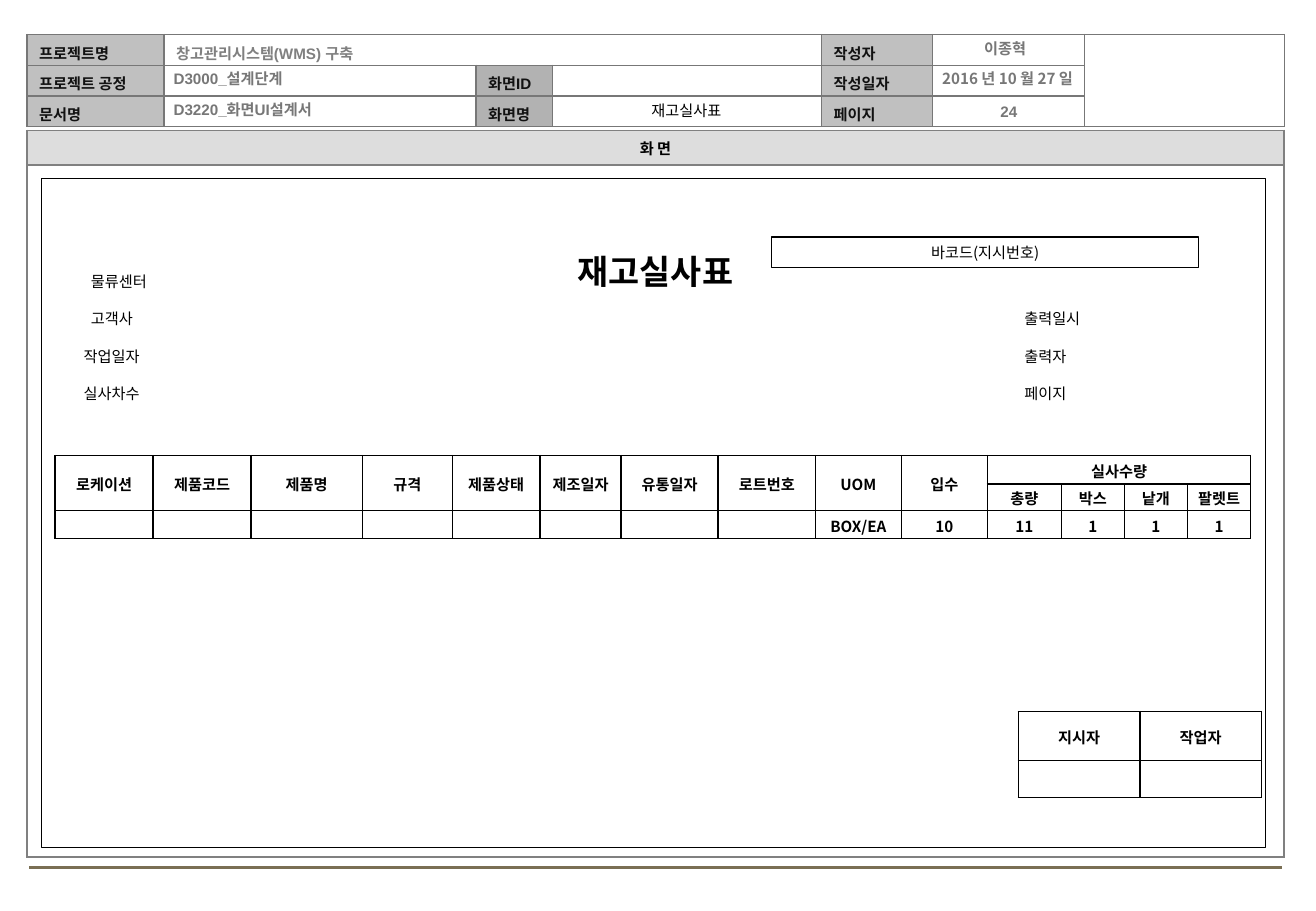
from lxml import etree
from pptx import Presentation
from pptx import util as u
from pptx.dml.color import RGBColor
from pptx.enum import shapes, text
from pptx.oxml.ns import qn

HUES = {"black": "000000", "ink": "111111", "grey": "777777", "mid": "808080",
        "label": "C0C0C0", "dark": "B2B2B2", "band": "DDDDDD", "rule": "7A6F54"}
NOTO, ARIAL = "Noto Sans CJK KR", "Arial"
LEFT, MID = text.PP_ALIGN.LEFT, text.PP_ALIGN.CENTER


def hue(name):
    return RGBColor.from_string(HUES[name])


def style(para, size=9, font=NOTO, color="black", bold=False, align=LEFT):
    para.alignment = align
    for run in para.runs:
        face = run.font
        face.size, face.name, face.bold = u.Pt(size), font, bold
        face.color.rgb = hue(color)
        ea = etree.SubElement(run._r.get_or_add_rPr(), qn("a:ea"))
        ea.set("typeface", NOTO)


def label(slide, words, x, y, w, h=18, **look):
    box = slide.shapes.add_textbox(u.Pt(x), u.Pt(y), u.Pt(w), u.Pt(h))
    box.text_frame.word_wrap = True
    box.text_frame.text = words
    style(box.text_frame.paragraphs[0], **look)


def frame(slide, x, y, w, h):
    """Draw an unfilled rectangle with a thin black outline."""
    box = slide.shapes.add_shape(shapes.MSO_SHAPE.RECTANGLE,
                                 u.Pt(x), u.Pt(y), u.Pt(w), u.Pt(h))
    box.shadow.inherit = False
    box.fill.background()
    box.line.color.rgb = hue("black")
    box.line.width = u.Pt(0.75)
    return box


def edge(cell, color):
    """Put a 1 pt line on all four sides of a cell."""
    props = cell._tc.get_or_add_tcPr()
    for i, side in enumerate(("lnL", "lnR", "lnT", "lnB")):
        line = etree.Element(qn("a:" + side), w=str(u.Pt(1)))
        fill = etree.SubElement(line, qn("a:solidFill"))
        etree.SubElement(fill, qn("a:srgbClr"), val=HUES[color])
        props.insert(i, line)


def grid(slide, x, y, cols, rows, words, line="black", pads=(1, 1, 1, 0),
         merges=(), **look):
    """Add a plain ruled table; pads are left, top, right, bottom."""
    table = slide.shapes.add_table(len(rows), len(cols), u.Pt(x), u.Pt(y),
                                   u.Pt(sum(cols)), u.Pt(sum(rows))).table
    table.first_row = table.horz_banding = False
    for col, w in zip(table.columns, cols):
        col.width = u.Pt(w)
    for row, h in zip(table.rows, rows):
        row.height = u.Pt(h)
    for r, row in enumerate(words):
        for c, word in enumerate(row):
            cell = table.cell(r, c)
            cell.fill.background()
            edge(cell, line)
            cell.vertical_anchor = text.MSO_ANCHOR.MIDDLE
            (cell.margin_left, cell.margin_top,
             cell.margin_right, cell.margin_bottom) = map(u.Pt, pads)
            para = cell.text_frame.paragraphs[0]
            if word:
                para.text = word
                style(para, **look)
            else:
                para._p.get_or_add_endParaRPr().set("sz", "900")
    for top, left, end, right in merges:
        table.cell(top, left).merge(table.cell(end, right))
    return table


def head(slide, x, y):
    """Document details across the top."""
    step = 18.2
    words = [["프로젝트명", "창고관리시스템(WMS) 구축", "", "", "작성자", "", ""],
             ["프로젝트 공정", "", "화면ID", "", "작성일자", "", ""],
             ["문서명", "", "화면명", "", "페이지", "", ""]]
    table = grid(slide, x, y, [81.2, 185, 45.3, 159.4, 66, 90, 118.5], [step] * 3,
                 words, line="grey", pads=(7.2, 3, 7.2, 0),
                 merges=[(0, 1, 0, 3), (0, 6, 2, 6)],
                 font=ARIAL, color="ink", bold=True)
    for r in range(3):
        for c, fill in ((0, "label"), (2, "dark"), (4, "label")):
            if words[r][c]:
                table.cell(r, c).fill.solid()
                table.cell(r, c).fill.fore_color.rgb = hue(fill)
    table.cell(0, 1).text_frame.paragraphs[0].runs[0].font.color.rgb = hue("mid")

    bold = {"color": "grey", "bold": True}
    for i, words in enumerate(("D3000_설계단계", "D3220_화면UI설계서"), 1):
        label(slide, words, x + 79.8, y - 1 + i * step, 390, font=ARIAL, **bold)
    label(slide, "이종혁", x + 523.3, y - 0.8, 113, align=MID, **bold)
    label(slide, "2016 년 10 월 27 일", x + 524.7, y - 1 + step, 113, align=MID, **bold)
    label(slide, "24", x + 537, y + 0.3 + 2 * step, 90, font=ARIAL, align=MID, **bold)
    label(slide, "재고실사표", x + 312.3, y - 0.4 + 2 * step, 157, align=MID)


def screen(slide, x, y, w):
    """Band, outer panel and the rule below them."""
    table = grid(slide, x, y, [w], [20.6, 410.2], [["화 면"], [""]], line="mid",
                 font=ARIAL, bold=True, align=MID)
    band = table.cell(0, 0)
    band.fill.solid()
    band.fill.fore_color.rgb = hue("band")
    rule = slide.shapes.add_connector(shapes.MSO_CONNECTOR.STRAIGHT, u.Pt(x + 1.3),
                                      u.Pt(y + 437), u.Pt(x + w - 1), u.Pt(y + 437))
    rule.line.color.rgb = hue("rule")
    rule.line.width = u.Pt(1.75)
    etree.SubElement(rule._element.spPr, qn("a:effectLst"))


def report(slide, x, y, w, h):
    """Stock count form inside its frame."""
    frame(slide, x, y, w, h)
    title = slide.shapes.title
    title.left, title.top = u.Pt(x + 312), u.Pt(y + 39.6)
    title.width, title.height = u.Pt(104), u.Pt(30)
    body = title.text_frame
    body.text = "재고실사표"
    body.word_wrap = False
    body.auto_size = text.MSO_AUTO_SIZE.NONE
    body.vertical_anchor = text.MSO_ANCHOR.MIDDLE
    body.margin_left = body.margin_right = u.Pt(1.4)
    style(body.paragraphs[0], size=20, bold=True, align=MID)

    code = frame(slide, x + 432.7, y + 34.6, 253.4, 18)
    code.text_frame.margin_top = code.text_frame.margin_bottom = 0
    code.text_frame.text = "바코드(지시번호)"
    style(code.text_frame.paragraphs[0], align=MID)

    for words, dx, row in (("물류센터", 22.3, 0), ("고객사", 22.3, 1),
                           ("작업일자", 18, 2), ("실사차수", 18, 3),
                           ("출력일시", 575.5, 1), ("출력자", 575.5, 2),
                           ("페이지", 575.5, 3)):
        label(slide, words, x + dx, y + 52 + 22.1 * row, 62)

    heads = ["로케이션", "제품코드", "제품명", "규격", "제품상태", "제조일자",
             "유통일자", "로트번호", "UOM", "입수"]
    bold = {"bold": True, "align": MID}
    grid(slide, x + 8.2, y + 164.1,
         [58, 58, 66, 53.4, 52, 48, 57.6, 57.6, 51, 51, 43.8, 37.4, 37.4, 37.4],
         [17, 15.8, 16.6],
         [heads + ["실사수량", "", "", ""],
          [""] * 10 + ["총량", "박스", "낱개", "팔렛트"],
          [""] * 8 + ["BOX/EA", "10", "11", "1", "1", "1"]],
         merges=[(0, c, 1, c) for c in range(10)] + [(0, 10, 0, 13)], **bold)
    grid(slide, x + 579.1, y + 315.9, [72, 72], [29, 21.8],
         [["지시자", "작업자"], ["", ""]], **bold)


def main():
    deck = Presentation()
    deck.slide_width, deck.slide_height = u.Pt(780), u.Pt(540)
    slide = deck.slides.add_slide(deck.slide_layouts[5])
    head(slide, 16, 20.5)
    screen(slide, 16, 77.2, 745)
    report(slide, 24.5, 105.9, 725.8, 396.7)
    deck.save("out.pptx")


if __name__ == "__main__":
    main()
